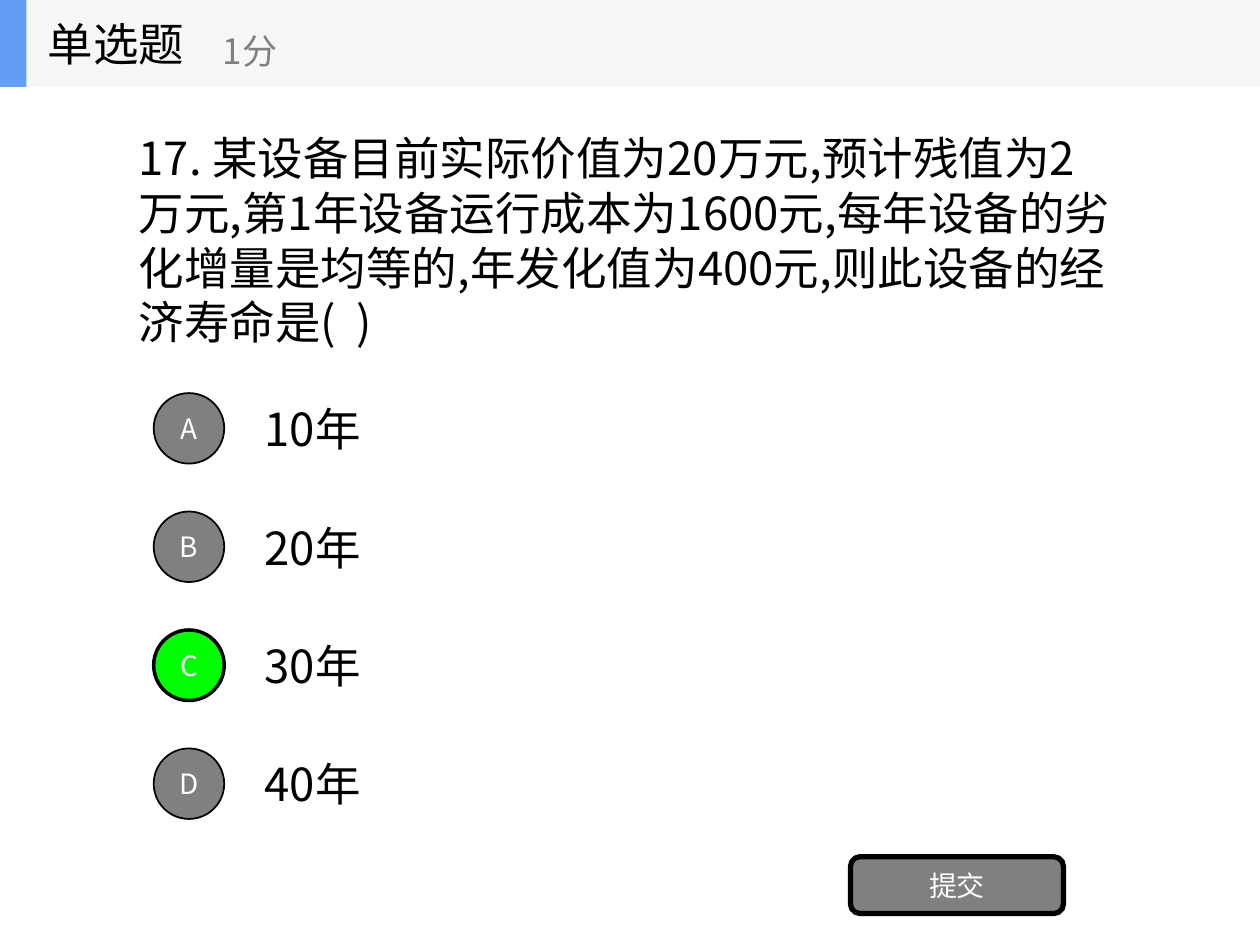
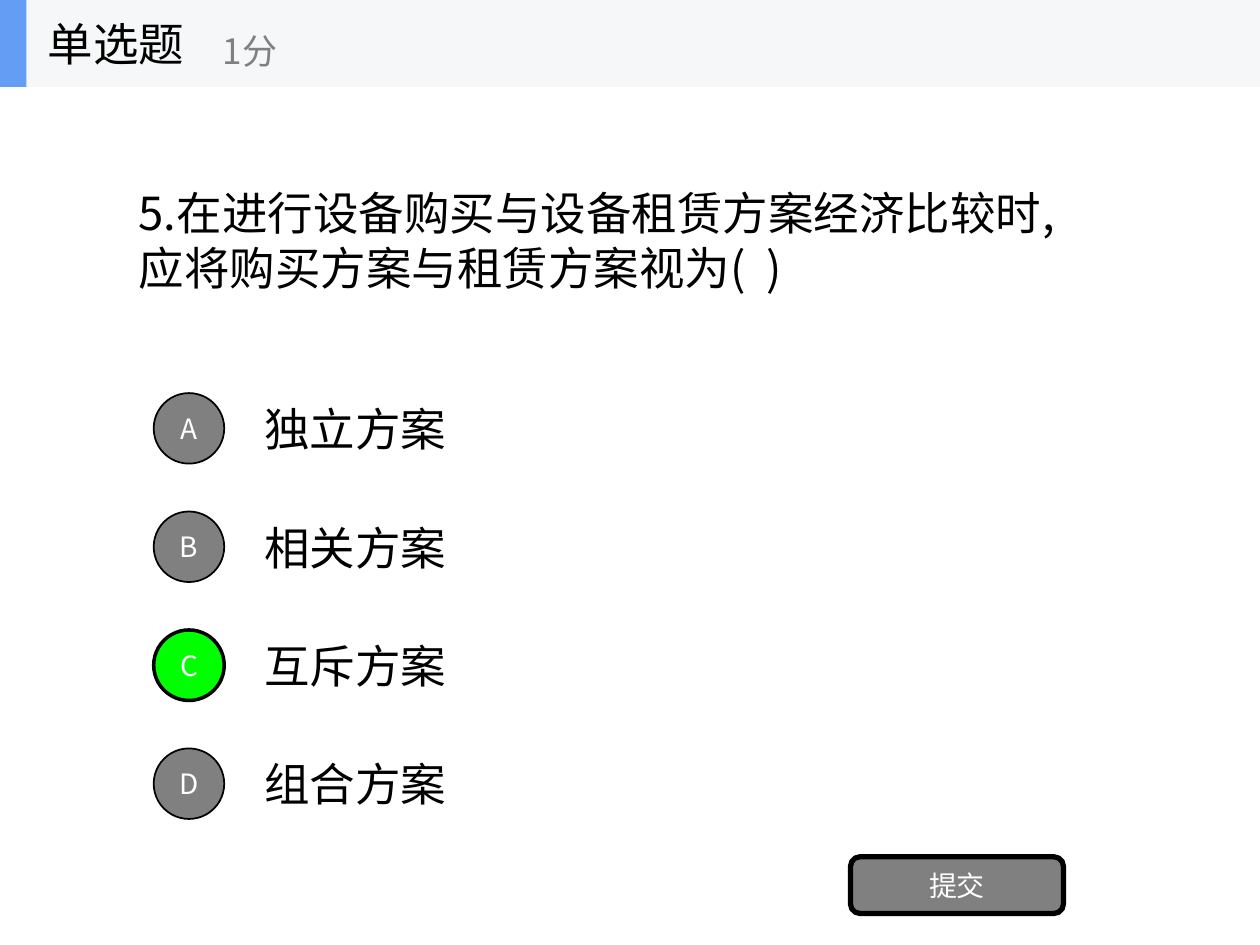
import pptx
import pptx.util
import pptx.dml.color
import pptx.enum.shapes
import pptx.enum.text
import pptx.oxml.ns
import lxml.etree

Inches, Pt = pptx.util.Inches, pptx.util.Pt
RGBColor = pptx.dml.color.RGBColor
SHAPE = pptx.enum.shapes.MSO_SHAPE
ALIGN = pptx.enum.text.PP_ALIGN

QUESTION_KIND = "单选题"
SCORE = "1分"
SUBMIT = "提交"
QUESTIONS = [
    {
        "stem": "17. 某设备目前实际价值为20万元,预计残值为2万元,第1年设备运行成本为1600元,"
                "每年设备的劣化增量是均等的,年发化值为400元,则此设备的经济寿命是(  )",
        "stem_lines": 4, "stem_width": 7.93,
        "options": ["10年", "20年", "30年", "40年"], "option_width": 1.09,
        "answer": "C",
    },
    {
        "stem": "5.在进行设备购买与设备租赁方案经济比较时,应将购买方案与租赁方案视为(  )",
        "stem_lines": 2, "stem_width": 7.81,
        "options": ["独立方案", "相关方案", "互斥方案", "组合方案"], "option_width": 1.75,
        "answer": "C",
    },
]

FONT = "Noto Sans CJK SC"
BLACK = RGBColor(0x00, 0x00, 0x00)
WHITE = RGBColor(0xFF, 0xFF, 0xFF)
GREY = RGBColor(0x80, 0x80, 0x80)
GREEN = RGBColor(0x00, 0xFF, 0x00)
BAND = RGBColor(0xF6, 0xF7, 0xF8)
ACCENT = RGBColor(0x63, 0x9E, 0xF4)

SLIDE_W, SLIDE_H = 10, 7.5
HEADER_H = 0.69
STEM_LEFT, STEM_MIDDLE, STEM_LINE = 1, 1.87, 0.435
CIRCLE_LEFT, CIRCLE_SIZE = 1.22, 0.56
OPTION_LEFT, OPTION_H = 2, 0.54
FIRST_MIDDLE, OPTION_PITCH = 3.4, 0.94
SUBMIT_BOX = (6.75, 6.8, 1.69, 0.45)
BODY_SIZE, SCORE_SIZE, BUTTON_SIZE = 26, 20, 16


def write(shape, text, size, color, align=ALIGN.LEFT):
    """Put one middle-anchored run, with its East Asian font, into a shape."""
    frame = shape.text_frame
    frame.word_wrap = True
    frame.auto_size = pptx.enum.text.MSO_AUTO_SIZE.NONE
    frame.vertical_anchor = pptx.enum.text.MSO_ANCHOR.MIDDLE
    paragraph = frame.paragraphs[0]
    paragraph.alignment = align
    run = paragraph.add_run()
    run.text = text
    run.font.size = Pt(size)
    run.font.name = FONT
    run.font.color.rgb = color
    east_asian = lxml.etree.SubElement(run.font._element, pptx.oxml.ns.qn("a:ea"))
    east_asian.set("typeface", FONT)
    return paragraph


def add_text(shapes, box, text, size, color):
    write(shapes.add_textbox(*map(Inches, box)), text, size, color)


def add_filled(shapes, kind, box, fill, line_width=0):
    shape = shapes.add_shape(kind, *map(Inches, box))
    shape.shadow.inherit = False
    shape.fill.solid()
    shape.fill.fore_color.rgb = fill
    if line_width:
        shape.line.color.rgb = BLACK
        shape.line.width = Pt(line_width)
    else:
        shape.line.fill.background()
    return shape


def add_button(shapes, kind, box, label, fill, line_width):
    button = add_filled(shapes, kind, box, fill, line_width)
    write(button, label, BUTTON_SIZE, WHITE, ALIGN.CENTER)


def add_stem(slide, question):
    stem = slide.shapes.title
    height = question["stem_lines"] * STEM_LINE + 0.1
    stem.left, stem.top = Inches(STEM_LEFT), Inches(STEM_MIDDLE - height / 2)
    stem.width, stem.height = Inches(question["stem_width"]), Inches(height)
    paragraph = write(stem, question["stem"], BODY_SIZE, BLACK)
    paragraph.line_spacing = Inches(STEM_LINE)
    stem.text_frame.margin_top = Inches(0.11)


def add_options(slide, question):
    for row, (letter, option) in enumerate(zip("ABCD", question["options"])):
        middle = FIRST_MIDDLE + row * OPTION_PITCH
        add_text(slide.shapes,
                 (OPTION_LEFT, middle - OPTION_H / 2, question["option_width"], OPTION_H),
                 option, BODY_SIZE, BLACK)
        fill, line_width = (GREEN, 2) if letter == question["answer"] else (GREY, 1)
        add_button(slide.shapes, SHAPE.OVAL,
                   (CIRCLE_LEFT, middle - CIRCLE_SIZE / 2, CIRCLE_SIZE, CIRCLE_SIZE),
                   letter, fill, line_width)


def add_header(slide):
    header = slide.shapes.add_group_shape().shapes
    add_filled(header, SHAPE.RECTANGLE, (0, 0, SLIDE_W, HEADER_H), BAND)
    add_filled(header, SHAPE.RECTANGLE, (0, 0, 0.21, HEADER_H), ACCENT)
    add_text(header, (0.28, 0, 2.08, HEADER_H), QUESTION_KIND, BODY_SIZE, BLACK)
    add_text(header, (1.67, 0.12, 2.5, 0.56), SCORE, SCORE_SIZE, GREY)


def main():
    deck = pptx.Presentation()
    deck.slide_width, deck.slide_height = Inches(SLIDE_W), Inches(SLIDE_H)
    title_only = deck.slide_layouts.get_by_name("Title Only")
    for question in QUESTIONS:
        slide = deck.slides.add_slide(title_only)
        add_stem(slide, question)
        add_options(slide, question)
        add_button(slide.shapes, SHAPE.ROUNDED_RECTANGLE, SUBMIT_BOX, SUBMIT, GREY, 3)
        add_header(slide)
    deck.save("out.pptx")


if __name__ == "__main__":
    main()
